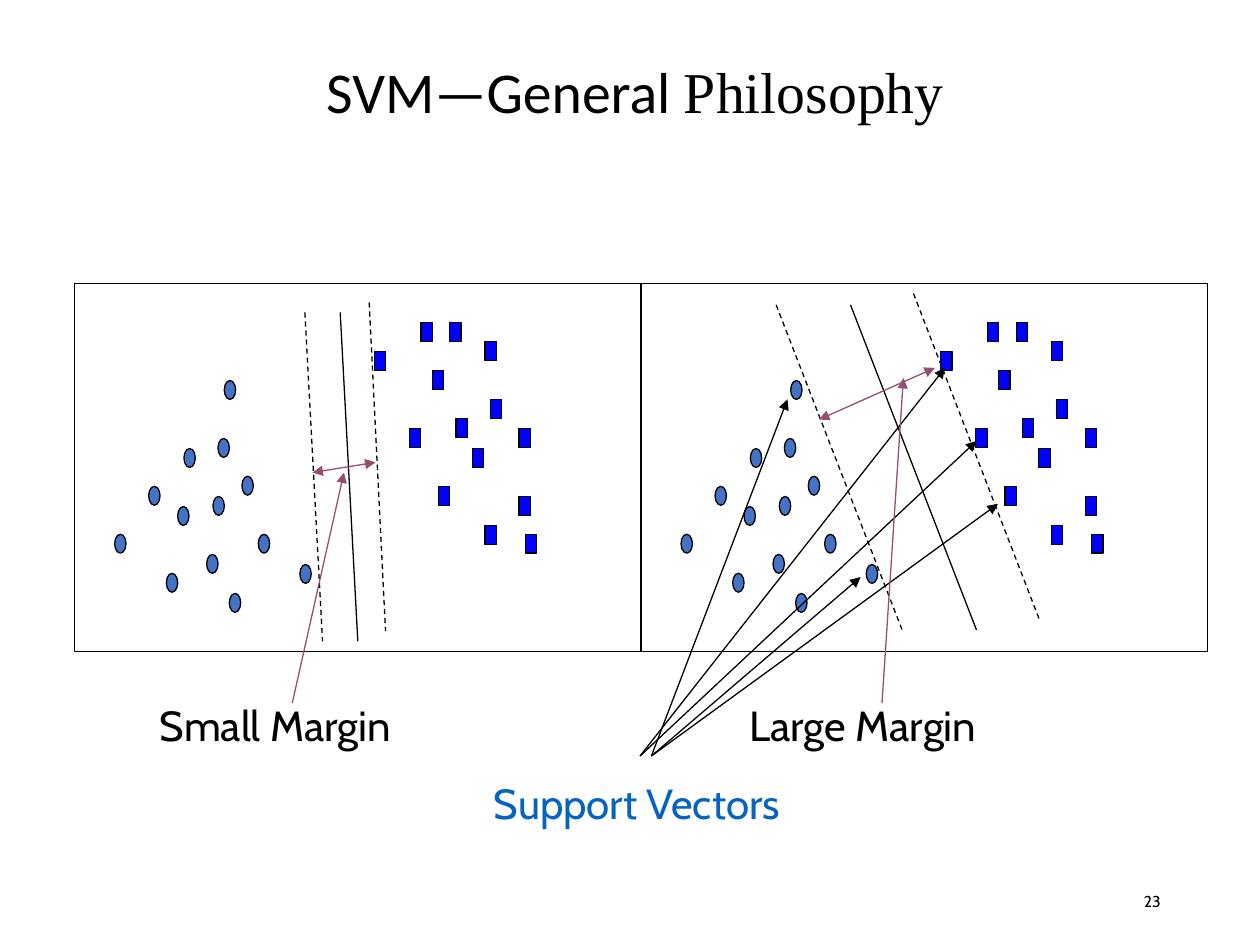
import pptx
import pptx.util
import pptx.dml.color
import pptx.enum.dml
import pptx.enum.shapes
import pptx.enum.text
import pptx.oxml.ns
from lxml import etree

Inches, Pt = pptx.util.Inches, pptx.util.Pt
SHAPE = pptx.enum.shapes.MSO_SHAPE
ALIGN = pptx.enum.text.PP_ALIGN
BLACK, CIRCLE, SQUARE, MAUVE, BLUE = "000000", "4472C4", "0000FF", "954F72", "0563C1"

PANEL_LEFTS = [0.59, 5.085]
PANEL_TOP, PANEL_W, PANEL_H = 2.25, 4.5, 2.92
MARK_W, MARK_H = 0.09, 0.15

# Data points as (x, y) offsets from the panel's left and the slide's top
CIRCLES = [(0.73, 4.55), (0.82, 4.02), (0.32, 4.24), (0.59, 3.86), (1.05, 4.4),
           (0.87, 3.56), (1.1, 3.94), (1.14, 3.48), (1.33, 3.78), (1.46, 4.24),
           (1.23, 4.71), (1.79, 4.48), (1.19, 3.02)]
SQUARES = [(2.66, 3.4), (2.38, 2.79), (2.75, 2.56), (2.89, 3.86), (2.84, 2.94),
           (3.03, 3.32), (2.98, 2.56), (3.26, 2.71), (3.16, 3.56), (3.3, 3.17),
           (3.26, 4.17), (3.53, 3.4), (3.53, 3.94), (3.58, 4.24)]

# (start, end, dashed)
BOUNDARIES = [
    ((2.93, 2.4), (3.06, 5.01), True),
    ((2.42, 2.48), (2.56, 5.09), True),
    ((2.7, 2.48), (2.84, 5.09), False),
    ((6.16, 2.42), (7.16, 5), True),
    ((7.25, 2.33), (8.25, 4.92), True),
    ((6.75, 2.42), (7.75, 5), False),
]
SUPPORT_ARROWS = [
    ((5.08, 6), (7.5, 2.92)),
    ((5.08, 6), (7.75, 3.5)),
    ((5.17, 6), (7.92, 4)),
    ((5.17, 6), (6.83, 4.58)),
    ((5.17, 6), (6.25, 3.17)),
]
MARGIN_WIDTHS = [((2.48, 3.75), (2.98, 3.67)), ((6.5, 3.33), (7.42, 2.92))]
MARGIN_POINTERS = [((2.32, 5.58), (2.73, 3.75)), ((7, 5.58), (7.17, 3))]
LABELS = [
    ("Support Vectors", (3.82, 6.12, 2.55, 0.5), BLUE),
    ("Small Margin", (1.17, 5.5, 2.1, 0.5), BLACK),
    ("Large Margin", (5.85, 5.5, 2.12, 0.5), BLACK),
]


def rgb(color):
    return pptx.dml.color.RGBColor.from_string(color)


def add_text(s, runs, box, size=24, color=BLACK, align=ALIGN.LEFT, middle=False, wrap=True, spacing=1.0):
    """Add a one-paragraph text box; runs is a list of (text, font) pairs."""
    tf = s.shapes.add_textbox(*map(Inches, box)).text_frame
    tf.word_wrap = wrap
    if middle:
        tf.vertical_anchor = pptx.enum.text.MSO_ANCHOR.MIDDLE
    p = tf.paragraphs[0]
    p.alignment, p.line_spacing = align, spacing
    for text, font in runs:
        r = p.add_run()
        r.text = text
        r.font.name, r.font.size = font, Pt(size)
        r.font.color.rgb = rgb(color)


def add_box(s, kind, box, fill=None):
    sp = s.shapes.add_shape(kind, *map(Inches, box))
    sp.shadow.inherit = False
    if fill:
        sp.fill.solid()
        sp.fill.fore_color.rgb = rgb(fill)
    else:
        sp.fill.background()
    sp.line.color.rgb = rgb(BLACK)
    sp.line.width = Pt(0.75)


def add_line(s, start, end, color=BLACK, dashed=False, arrows=()):
    """Draw a straight line; arrows names the ends with a head: headEnd, tailEnd."""
    straight = pptx.enum.shapes.MSO_CONNECTOR.STRAIGHT
    line = s.shapes.add_connector(straight, *map(Inches, start + end))
    line.line.color.rgb = rgb(color)
    line.line.width = Pt(0.75)
    if dashed:
        line.line.dash_style = pptx.enum.dml.MSO_LINE.DASH
    ln = line.line._get_or_add_ln()
    for tag in arrows:
        etree.SubElement(ln, pptx.oxml.ns.qn("a:" + tag), type="triangle")
    etree.SubElement(line._element.spPr, pptx.oxml.ns.qn("a:effectLst"))


def add_panel(s, left):
    for kind, points, fill in [(SHAPE.OVAL, CIRCLES, CIRCLE), (SHAPE.RECTANGLE, SQUARES, SQUARE)]:
        for x, y in points:
            add_box(s, kind, (left + x, y, MARK_W, MARK_H), fill)
    add_box(s, SHAPE.RECTANGLE, (left, PANEL_TOP, PANEL_W, PANEL_H))


def main():
    prs = pptx.Presentation()
    prs.slide_width, prs.slide_height = Inches(10), Inches(7.5)
    s = prs.slides.add_slide(prs.slide_layouts[6])

    add_text(s, [("23", "Cabin")], (7.06, 6.95, 2.25, 0.4), size=9, align=ALIGN.RIGHT, middle=True)
    add_text(s, [("SVM—General ", "Calibri"), ("Philosophy", "Times New Roman")],
             (0.33, 0.42, 9.42, 0.67), size=33, align=ALIGN.CENTER, middle=True, spacing=0.9)
    for left in PANEL_LEFTS:
        add_panel(s, left)
    for start, end, dashed in BOUNDARIES:
        add_line(s, start, end, dashed=dashed)
    for text, box, color in LABELS:
        add_text(s, [(text, "Cabin")], box, color=color, wrap=False)
    for start, end in SUPPORT_ARROWS:
        add_line(s, start, end, arrows=["tailEnd"])
    for start, end in MARGIN_WIDTHS:
        add_line(s, start, end, MAUVE, arrows=["headEnd", "tailEnd"])
    for start, end in MARGIN_POINTERS:
        add_line(s, start, end, MAUVE, arrows=["tailEnd"])

    prs.save("out.pptx")


if __name__ == "__main__":
    main()
